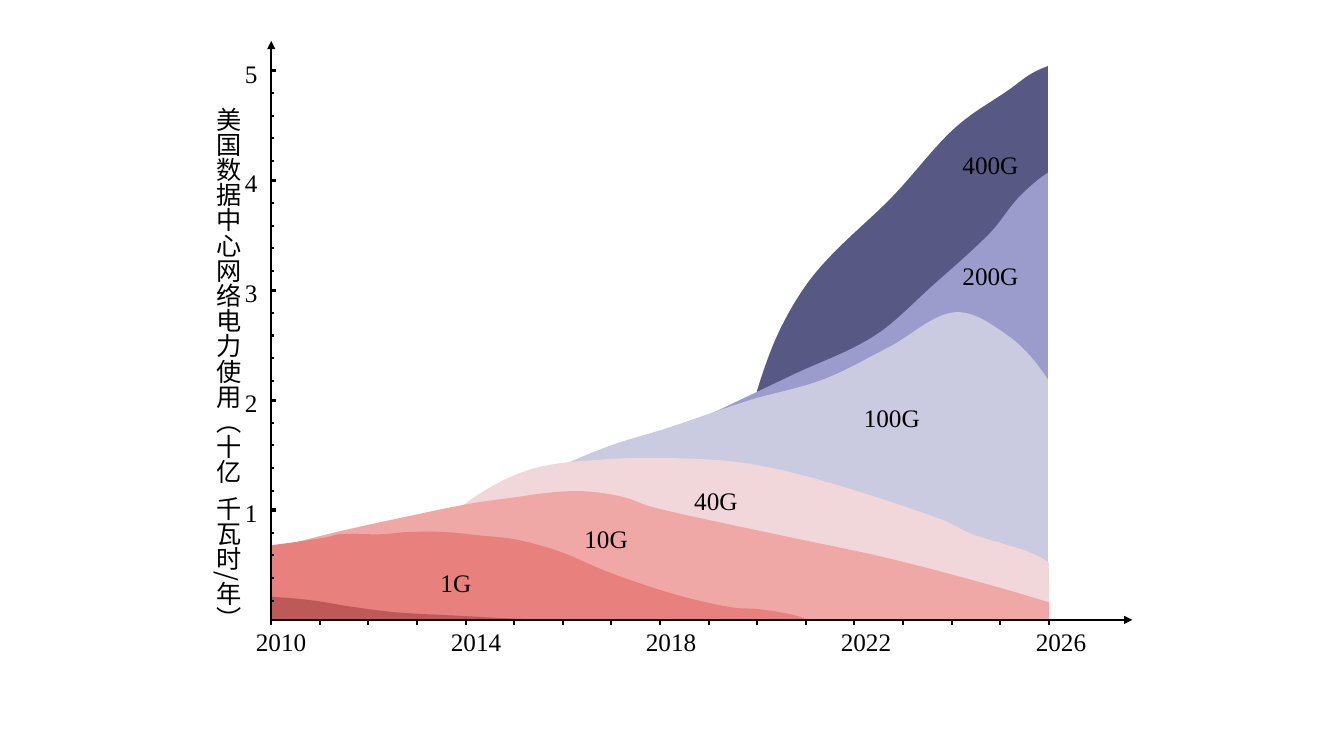
from lxml.etree import SubElement
from pptx import Presentation
from pptx.dml.color import RGBColor
from pptx.enum.shapes import MSO_CONNECTOR
from pptx.enum.text import MSO_AUTO_SIZE
from pptx.oxml.ns import qn
from pptx.util import Inches, Pt

deck = Presentation()
deck.slide_width, deck.slide_height = Inches(13.33), Inches(7.5)
slide = deck.slides.add_slide(deck.slide_layouts[6])
shapes = slide.shapes

# Grid: one column per year since 2010, one row per billion kWh
LEFT, BASE = 2.69, 6.15
COL, ROW = 0.482, 1.09
LAST, TOP = 16, 5


def at(year, val):
    return Inches(LEFT + year * COL), Inches(BASE - val * ROW)


def ink(fill, code):
    fill.solid()
    fill.fore_color.rgb = RGBColor.from_string(code)


# Top edge of each area as (year, value), from back to front
areas = [
    ("585885", [(10, 2.09), (10.5, 2.67), (11.24, 3.18), (12.8, 3.86),
                (14.05, 4.47), (15.23, 4.84), (15.6, 4.96), (15.98, 5.04)]),
    ("9C9CCC", [(9.02, 1.87), (10.73, 2.23), (12.43, 2.59), (13.63, 3.05),
                (14.81, 3.53), (15.37, 3.84), (15.98, 4.07)]),
    ("CACAE0", [(6.06, 1.42), (7.07, 1.6), (8.11, 1.74), (9.85, 2),
                (11.37, 2.19), (12.7, 2.48), (14.07, 2.8), (15.21, 2.57),
                (15.98, 2.19)]),
    ("F1D7DA", [(3.94, 1.04), (5.27, 1.36), (6.83, 1.46), (8.46, 1.47),
                (9.85, 1.42), (11.39, 1.26), (13.76, 0.92), (14.43, 0.78),
                (15.58, 0.62), (16, 0.52)]),
    ("F0A8A6", [(0.54, 0.71), (1.54, 0.82), (2.57, 0.92), (4.11, 1.06),
                (4.92, 1.11), (5.75, 1.16), (6.47, 1.17), (7.24, 1.12),
                (7.82, 1.03), (9.21, 0.89), (10.81, 0.74), (12.61, 0.57),
                (14.45, 0.36), (16, 0.16)]),
    ("E8817D", [(0, 0.68), (1.12, 0.75), (1.41, 0.78), (2.28, 0.78),
                (2.82, 0.8), (3.57, 0.8), (4.27, 0.77), (5.06, 0.73),
                (5.95, 0.62), (6.8, 0.46), (7.28, 0.38), (7.95, 0.28),
                (8.67, 0.19), (9.54, 0.11), (10, 0.1), (10.7, 0.05),
                (11.04, 0)]),
    ("BE5958", [(0, 0.21), (0.81, 0.18), (1.66, 0.12), (2.55, 0.07),
                (3.75, 0.04), (5.1, 0.01), (6, 0)]),
]

# Areas: one Bezier curve between each pair of points, closed along the base
for code, pts in areas:
    ends = [pts[0], *pts, pts[-1]]
    slopes = [(c[1] - a[1]) / (c[0] - a[0]) for a, c in zip(ends, ends[2:])]
    slopes[0] = 2 * slopes[0] - slopes[1]
    slopes[-1] = 2 * slopes[-1] - slopes[-2]
    edge = [at(*pts[0])]
    for (x0, y0), (x1, y1), m0, m1 in zip(pts, pts[1:], slopes, slopes[1:]):
        arm = (x1 - x0) / 3
        edge += [at(x0 + arm, y0 + arm * m0), at(x1 - arm, y1 - arm * m1),
                 at(x1, y1)]
    form = shapes.build_freeform(*at(pts[0][0], 0))
    form.add_line_segments([*edge, at(pts[-1][0], 0)], close=True)
    area = form.convert_to_shape()
    area.shadow.inherit = False
    ink(area.fill, code)
    area.line.fill.background()
    # Join each three line steps along the edge into one curve
    steps = area.element.spPr.findall(".//" + qn("a:lnTo"))[1:len(edge)]
    for one, two, end in zip(steps[::3], steps[1::3], steps[2::3]):
        for step in (two, end):
            one.append(step[0])
            step.getparent().remove(step)
        one.tag = qn("a:cubicBezTo")

# Axes and ticks: from, to, width, arrow
lines = [((0, 0), (17.72, 0), 1.5, True), ((0, 0), (0, 5.27), 1.5, True)]
lines += [((i, 0.01), (i, -0.05), 1.5, False) for i in range(LAST + 1)]
for val in range(1, TOP + 1):
    lines.append(((0.1, val), (0, val), 2.25, False))
    for k in range(1, 5):
        low = val - k * 0.206
        lines.append(((0.06, low), (0, low), 1.5, False))

for start, end, width, arrow in lines:
    rule = shapes.add_connector(MSO_CONNECTOR.STRAIGHT, *at(*start), *at(*end))
    rule.line.width = Pt(width)
    ink(rule.line.fill, "000000")
    props = rule.element.spPr
    if arrow:
        SubElement(props.find(qn("a:ln")), qn("a:tailEnd"), type="triangle")
    SubElement(props, qn("a:effectLst"))

# Labels: runs, left year, top value, width, height, font, wrap
SERIF, SANS = "Times New Roman", "Noto Sans CJK SC"
names = [("1G", 3.28, 0.52, 0.74), ("10G", 6.24, 0.92, 0.73),
         ("40G", 8.5, 1.27, 0.73), ("100G", 11.99, 2.03, 0.87),
         ("200G", 14.02, 3.32, 0.95), ("400G", 14.02, 4.33, 0.77)]
names += [(str(val), -0.54, val + 0.16, 0.14) for val in range(1, TOP + 1)]
labels = [([text], year, val, width, 0.4, SERIF, True)
          for text, year, val, width in names]
labels += [([str(2010 + i)], i * 1.003 - 0.52, -0.01, 0.71, 0.4, SERIF, False)
           for i in range(0, LAST + 1, 4)]
title = ["美国数据中心网络电力使用（十亿", " ", "千瓦时/年）"]
labels.append((title, -1.51, 4.76, 0.5, 5.38, SANS, False))

for texts, year, val, width, height, font, wrap in labels:
    box = shapes.add_textbox(*at(year, val), Inches(width), Inches(height))
    frame = box.text_frame
    frame.word_wrap = wrap
    frame.auto_size = MSO_AUTO_SIZE.SHAPE_TO_FIT_TEXT
    if len(texts[0]) == 1:
        frame.margin_left = frame.margin_right = 0
    for text in texts:
        run = frame.paragraphs[0].add_run()
        run.text = text
        run.font.name, run.font.size = font, Pt(18)
        ink(run.font.fill, "000000")
    # The axis title stands upright, with a wider space inside the brackets
    if texts is title:
        body = box.element.txBody
        body.find(qn("a:bodyPr")).set("vert", "eaVert")
        marks = body.findall(".//" + qn("a:rPr"))
        marks[1].set("spc", "400")
        for mark in marks:
            SubElement(mark, qn("a:ea"), typeface=SANS)

deck.save("out.pptx")
